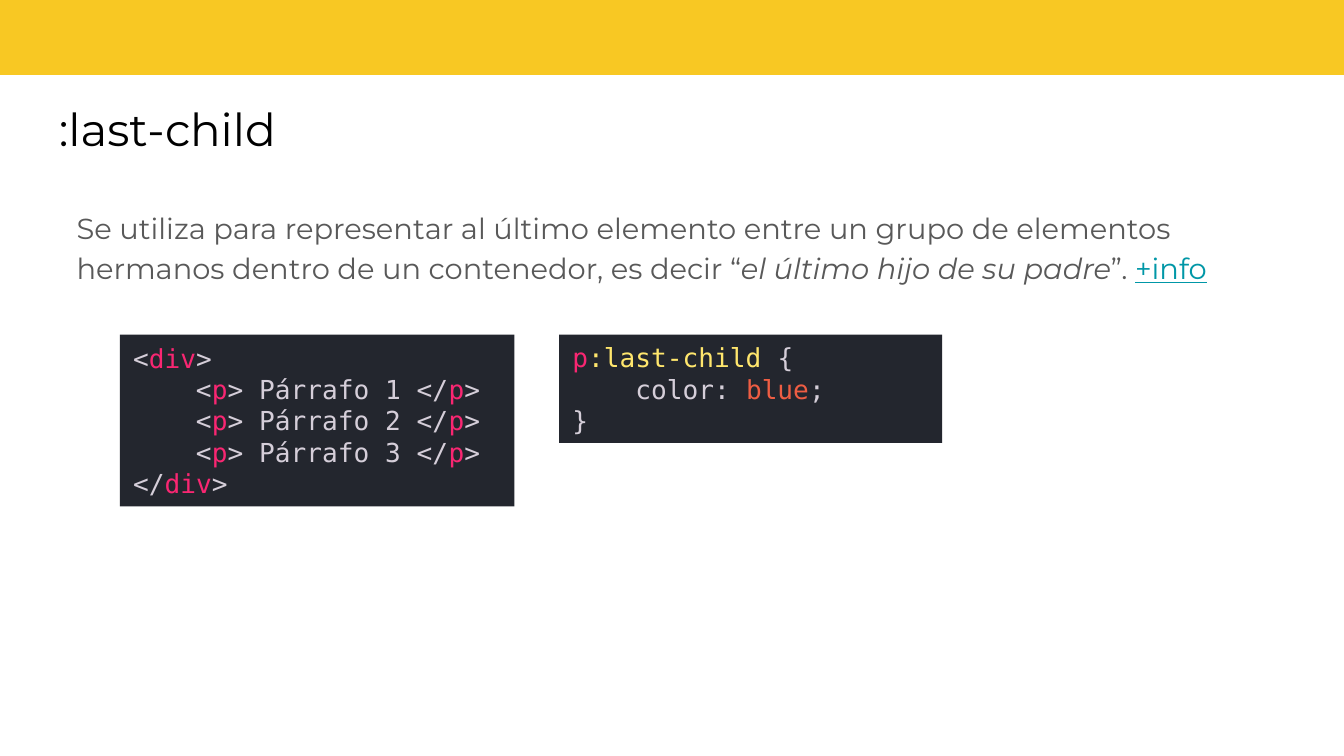
from pptx import Presentation
from pptx import util as u
from pptx.dml.color import RGBColor
from pptx.enum import shapes, text

Pt = u.Pt
SANS, MONO = "Montserrat", "DejaVu Sans Mono"
PLAIN, TAG, RULE, VALUE = "D5CED9", "F92672", "FFE66D", "EE5D43"


def color(code):
    return RGBColor.from_string(code)


def write(par, words, font=SANS, size=14, ink="000000", italic=False, line=False):
    run = par.add_run()
    run.text = words
    face = run.font
    face.name, face.size = font, Pt(size)
    face.color.rgb = color(ink)
    face.italic, face.underline = italic, line


def frame(shape, pad, anchor):
    """Set side padding of 7.2 pt and the given vertical padding."""
    area = shape.text_frame
    area.word_wrap = True
    area.margin_left = area.margin_right = Pt(7.2)
    area.margin_top = area.margin_bottom = Pt(pad)
    area.vertical_anchor = anchor
    area.paragraphs[0].alignment = text.PP_ALIGN.LEFT
    return area


def rect(slide, box, fill):
    shape = slide.shapes.add_shape(shapes.MSO_SHAPE.RECTANGLE, *map(Pt, box))
    shape.shadow.inherit = False
    shape.fill.solid()
    shape.fill.fore_color.rgb = color(fill)
    shape.line.fill.background()
    return shape


def title(slide, box, words):
    area = frame(slide.shapes.add_textbox(*map(Pt, box)), 7.2, text.MSO_ANCHOR.TOP)
    write(area.paragraphs[0], words, size=24.3)


def body(slide, box, runs):
    area = frame(slide.shapes.add_textbox(*map(Pt, box)), 7.2, text.MSO_ANCHOR.TOP)
    par = area.paragraphs[0]
    par.line_spacing = 1.15
    for words, style in runs:
        write(par, words, **{"size": 15.5, "ink": "595959", **style})


def code(slide, box, lines):
    """Draw a dark panel; each line is a list of (words, colour) pairs."""
    area = frame(rect(slide, box, "23262E"), 3.6, text.MSO_ANCHOR.MIDDLE)
    for i, line in enumerate(lines):
        par = area.add_paragraph() if i else area.paragraphs[0]
        par.alignment = text.PP_ALIGN.LEFT
        for words, ink in line:
            write(par, words, font=MONO, ink=ink)


def item(num):
    return [("    <", PLAIN), ("p", TAG), (f"> Párrafo {num} </", PLAIN),
            ("p", TAG), (">", PLAIN)]


def main():
    deck = Presentation()
    deck.slide_width, deck.slide_height = Pt(720), Pt(405)
    slide = deck.slides.add_slide(deck.slide_layouts[6])

    rect(slide, (0, 0, 720, 40.2), "F8C823")
    title(slide, (24.5, 46.8, 669.6, 45.4), ":last-child")
    body(slide, (34, 103, 652, 261), [
        ("Se utiliza para representar al último elemento entre un grupo de "
         "elementos hermanos dentro de un contenedor, es decir “", {}),
        ("el último hijo de su padre", {"italic": True}),
        ("”. ", {}),
        ("+info", {"ink": "0097A7", "line": True}),
    ])

    top = 179.3
    code(slide, (64.2, top, 211.4, 92), [
        [("<", PLAIN), ("div", TAG), (">", PLAIN)],
        *(item(num) for num in range(1, 4)),
        [("</", PLAIN), ("div", TAG), (">", PLAIN)],
    ])
    code(slide, (299.6, top, 205.2, 58), [
        [("p", TAG), (":last-child", RULE), (" {", PLAIN)],
        [("    color: ", PLAIN), ("blue", VALUE), (";", PLAIN)],
        [("}", PLAIN)],
    ])
    deck.save("out.pptx")


if __name__ == "__main__":
    main()
